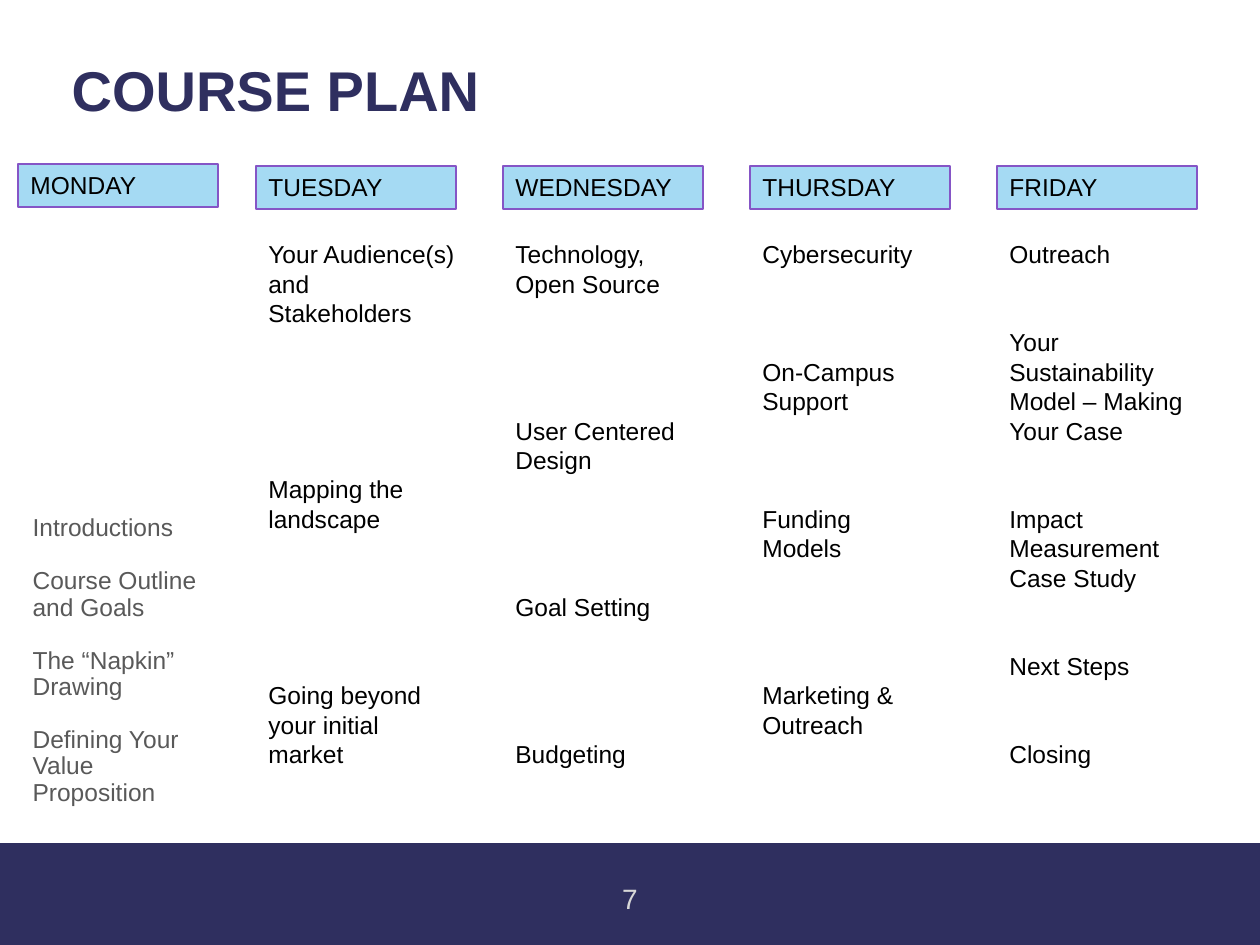
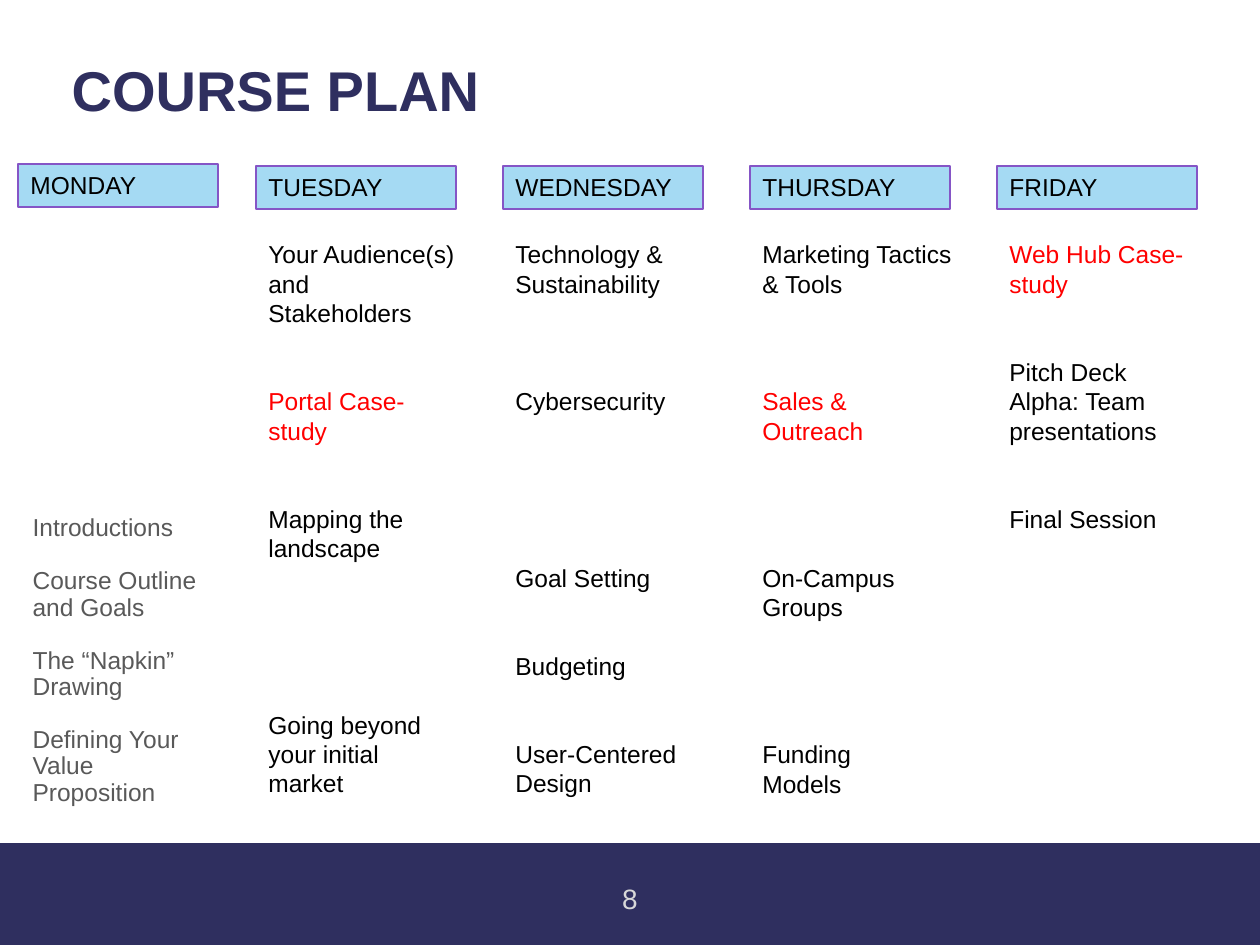
from dataclasses import dataclass
from lxml.etree import SubElement
from pptx import Presentation
from pptx.dml.color import RGBColor as Rgb
from pptx.enum.shapes import MSO_SHAPE as Kind
from pptx.enum.text import MSO_ANCHOR as Anchor, MSO_AUTO_SIZE as Fit, PP_ALIGN as Align
from pptx.oxml.ns import qn
from pptx.util import Pt

PX = 914400 / 126  # EMU in one px


@dataclass(frozen=True)
class Theme:
    font: str = "Arial"
    navy: str = "2F2F5F"
    white: str = "FFFFFF"
    sky: str = "A5DAF3"
    edge: str = "8555C6"
    black: str = "000000"
    grey: str = "595959"
    pale: str = "D8D8D8"
    red: str = "FF0000"
    head: int = 32
    text: int = 14
    page: int = 16
    line: float = 16.8   # line pitch of the day columns, points
    tight: float = 15.1  # line pitch of the Monday list, points


look = Theme()


def box(*nums):
    return [round(n * PX) for n in nums]


def write(shape, rows, size=look.text, ink=look.black, bold=False,
          align=Align.LEFT, anchor=Anchor.TOP, pitch=None):
    """Fill a shape with rows of (blank lines above, text, optional ink)."""
    frame = shape.text_frame
    frame.word_wrap = True
    frame.auto_size = Fit.NONE
    frame.vertical_anchor = anchor
    for i, (gap, text, *own) in enumerate(rows):
        para = frame.add_paragraph() if i else frame.paragraphs[0]
        props = para._p.get_or_add_pPr()
        props.set("marL", "0")
        props.set("indent", "0")
        para.alignment = align
        para.space_before = Pt(gap * (pitch or 0))
        para.space_after = Pt(0)
        if pitch:
            para.line_spacing = Pt(pitch)
        SubElement(props, qn("a:buNone"))
        run = para.add_run()
        run.text = text
        font = run.font
        font.name, font.size, font.bold = look.font, Pt(size), bold
        font.color.rgb = Rgb.from_string(own[0] if own else ink)


# Content: each day column lists (blank lines above, text, optional ink)
days = ["MONDAY", "TUESDAY", "WEDNESDAY", "THURSDAY", "FRIDAY"]
monday = [
    (0, "Introductions"),
    (1, "Course Outline and Goals"),
    (1, "The “Napkin” Drawing"),
    (1, "Defining Your Value Proposition"),
]
plans = {
    7: [
        [(0, "Your Audience(s) and Stakeholders"),
         (5, "Mapping the landscape"),
         (5, "Going beyond your initial market")],
        [(0, "Technology, Open Source"), (4, "User Centered Design"),
         (4, "Goal Setting"), (4, "Budgeting")],
        [(0, "Cybersecurity"), (3, "On-Campus Support"),
         (3, "Funding"), (0, "Models"), (4, "Marketing & Outreach")],
        [(0, "Outreach"),
         (2, "Your Sustainability Model – Making Your Case"),
         (2, "Impact Measurement Case Study"),
         (2, "Next Steps"), (2, "Closing")],
    ],
    8: [
        [(0, "Your Audience(s) and Stakeholders"),
         (2, "Portal Case-study", look.red),
         (2, "Mapping the landscape"),
         (5, "Going beyond your initial market")],
        [(0, "Technology & Sustainability"), (3, "Cybersecurity"),
         (5, "Goal Setting"), (2, "Budgeting"),
         (2, "User-Centered Design")],
        [(0, "Marketing Tactics & Tools"),
         (3, "Sales & Outreach", look.red),
         (4, "On-Campus Groups"), (4, "Funding"), (0, "Models")],
        [(0, "Web Hub Case-study", look.red),
         (2, "Pitch Deck Alpha: Team presentations"),
         (2, "Final Session")],
    ],
}

deck = Presentation()
deck.slide_width, deck.slide_height = box(1260, 945)

# Shared ground: navy page, whose foot shows below a white panel
master = deck.slide_master
fill = master.background.fill
fill.solid()
fill.fore_color.rgb = Rgb.from_string(look.navy)
panel = None

for page, plan in plans.items():
    slide = deck.slides.add_slide(deck.slide_layouts[1])
    shapes = slide.shapes

    # White panel, made once and moved to the master
    if panel is None:
        panel = shapes.add_shape(Kind.RECTANGLE, *box(0, 0, 1260, 843))
        panel.shadow.inherit = False
        panel.fill.solid()
        panel.fill.fore_color.rgb = Rgb.from_string(look.white)
        panel.line.fill.background()
        panel.element.nvSpPr.cNvPr.set("id", "99")
        master.shapes.element.insert(2, panel.element)

    # Title and Monday list
    title, body = shapes.title, slide.placeholders[1]
    title.left, title.top, title.width, title.height = box(59, 38, 1134, 103)
    write(title, [(0, "COURSE PLAN")], size=look.head, ink=look.navy,
          bold=True, anchor=Anchor.MIDDLE)
    body.left, body.top, body.width, body.height = box(20, 509, 210, 330)
    write(body, monday, ink=look.grey, pitch=look.tight)

    # Page number
    foot = shapes.add_textbox(*box(561, 869, 138, 59))
    write(foot, [(0, str(page))], size=look.page, ink=look.pale,
          align=Align.CENTER, anchor=Anchor.MIDDLE)

    # Tuesday to Friday columns
    for i, rows in enumerate(plan):
        col = shapes.add_textbox(*box(256 + 247 * i, 233, 215, 606))
        write(col, rows, pitch=look.line)

    # Day labels; Monday stands a little apart
    for i, day in enumerate(days):
        x, y = (256 + 247 * (i - 1), 166) if i else (18, 164)
        tag = shapes.add_shape(Kind.RECTANGLE, *box(x, y, 200, 43))
        tag.shadow.inherit = False
        tag.fill.solid()
        tag.fill.fore_color.rgb = Rgb.from_string(look.sky)
        tag.line.color.rgb = Rgb.from_string(look.edge)
        tag.line.width = Pt(0.75)
        write(tag, [(0, day)], pitch=look.line)

deck.save("out.pptx")
